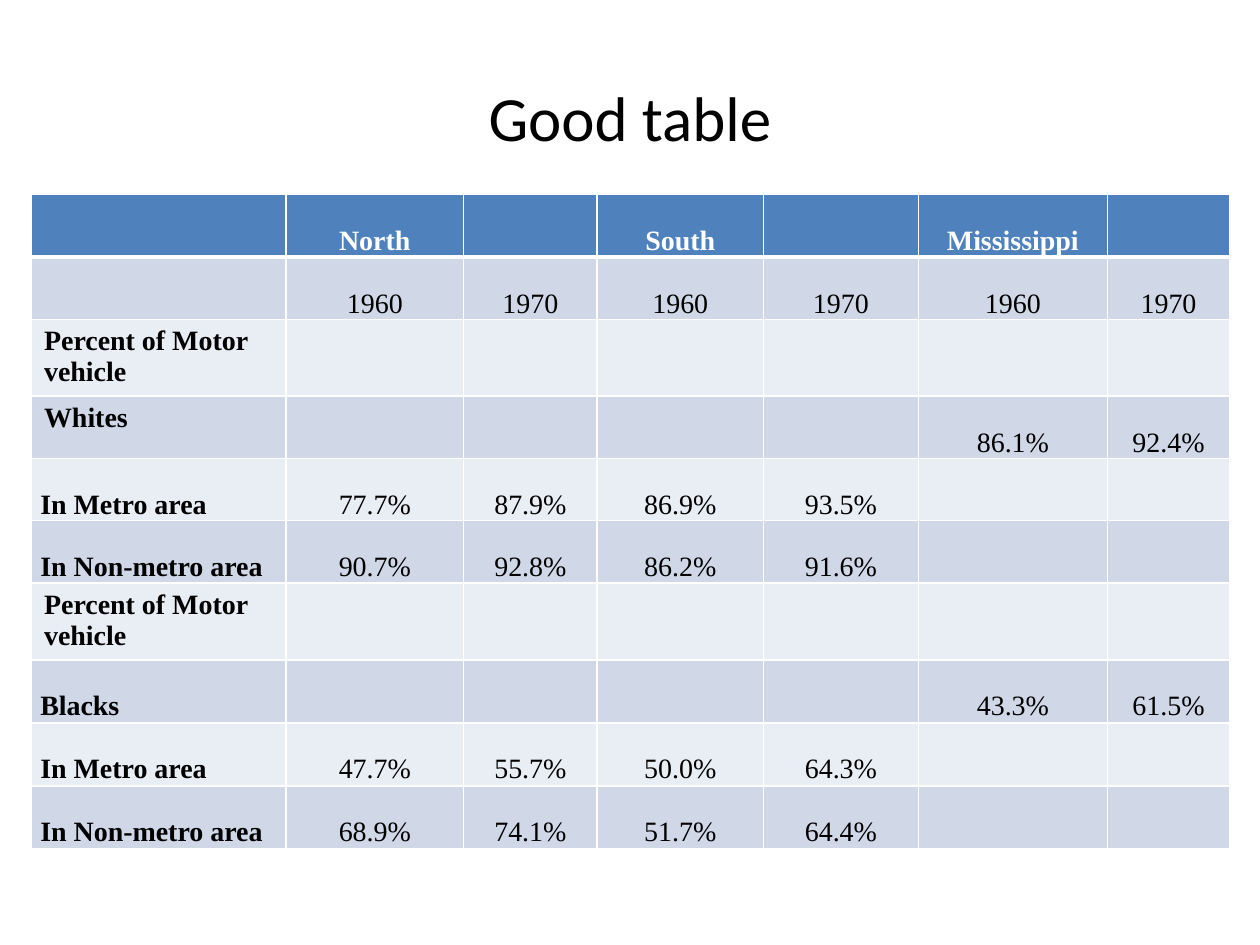
import dataclasses

import lxml.etree
import pptx
import pptx.dml.color
import pptx.enum.text
import pptx.oxml.ns
import pptx.table
import pptx.text.text
import pptx.util

Inches = pptx.util.Inches
Align = pptx.enum.text.PP_ALIGN
COLORS = {
    "header": "4F81BD",
    "band_dark": "D0D8E8",
    "band_light": "E9EDF4",
    "white": "FFFFFF",
    "black": "000000",
}


@dataclasses.dataclass
class Row:
    height: float
    label: str = ""
    north: tuple[str, str] = ("", "")
    south: tuple[str, str] = ("", "")
    mississippi: tuple[str, str] = ("", "")
    double_label: bool = True

    def texts(self) -> list[str]:
        return [self.label, *self.north, *self.south, *self.mississippi]


COLUMN_WIDTHS = [2.02, 1.41, 1.06, 1.32, 1.23, 1.5, 0.97]
YEARS = ("1960", "1970")
ROWS = [
    Row(0.5, "", ("North", ""), ("South", ""), ("Mississippi", "")),
    Row(0.43, "", YEARS, YEARS, YEARS),
    Row(0.61, "Percent of Motor vehicle", double_label=False),
    Row(0.43, "Whites", mississippi=("86.1%", "92.4%"), double_label=False),
    Row(0.43, "In Metro area", ("77.7%", "87.9%"), ("86.9%", "93.5%")),
    Row(0.43, "In Non-metro area", ("90.7%", "92.8%"), ("86.2%", "91.6%")),
    Row(0.61, "Percent of Motor vehicle", double_label=False),
    Row(0.5, "Blacks", mississippi=("43.3%", "61.5%")),
    Row(0.5, "In Metro area", ("47.7%", "55.7%"), ("50.0%", "64.3%")),
    Row(0.5, "In Non-metro area", ("68.9%", "74.1%"), ("51.7%", "64.4%")),
]


def rgb(name: str) -> pptx.dml.color.RGBColor:
    return pptx.dml.color.RGBColor.from_string(COLORS[name])


def write_text(tf: pptx.text.text.TextFrame, text: str, *, size: float,
               font: str = "Times New Roman", color: str = "black",
               bold: bool = False, align: Align = Align.LEFT,
               spacing: float = 1.0) -> None:
    p = tf.paragraphs[0]
    p.alignment = align
    p.line_spacing = spacing
    r = p.add_run()
    r.text = text
    r.font.size = pptx.util.Pt(size)
    r.font.name = font
    r.font.bold = bold
    r.font.color.rgb = rgb(color)


def set_borders(cell: pptx.table._Cell, bottom: float) -> None:
    qn = pptx.oxml.ns.qn
    tc_pr = cell._tc.get_or_add_tcPr()
    widths = {"a:lnL": 1, "a:lnR": 1, "a:lnT": 1, "a:lnB": bottom}
    for i, (tag, width) in enumerate(widths.items()):
        ln = lxml.etree.Element(qn(tag), w=str(pptx.util.Pt(width)))
        fill = lxml.etree.SubElement(ln, qn("a:solidFill"))
        lxml.etree.SubElement(fill, qn("a:srgbClr"), val=COLORS["white"])
        tc_pr.insert(i, ln)


def fill_row(table: pptx.table.Table, index: int, row: Row) -> None:
    header = index == 0
    band = "header" if header else "band_dark" if index % 2 else "band_light"
    table.rows[index].height = Inches(row.height)
    for col, text in enumerate(row.texts()):
        cell = table.cell(index, col)
        cell.fill.solid()
        cell.fill.fore_color.rgb = rgb(band)
        set_borders(cell, bottom=3 if header else 1)
        if not text:
            continue
        is_label = col == 0
        double = row.double_label or not is_label
        if double:
            cell.margin_left = cell.margin_right = Inches(0.07)
            cell.margin_top = cell.margin_bottom = 0
        write_text(cell.text_frame, text, size=16,
                   color="white" if header else "black",
                   bold=header or is_label,
                   align=Align.LEFT if is_label else Align.CENTER,
                   spacing=2.0 if double else 1.0)


def main() -> None:
    prs = pptx.Presentation()
    prs.slide_width, prs.slide_height = Inches(10), Inches(7.5)
    s = prs.slides.add_slide(prs.slide_layouts[5])

    title = s.shapes.title
    title.left, title.top = Inches(0.5), Inches(0.3)
    title.width, title.height = Inches(9), Inches(1.25)
    title.text_frame.vertical_anchor = pptx.enum.text.MSO_ANCHOR.MIDDLE
    write_text(title.text_frame, "Good table", size=36, font="Calibri",
               align=Align.CENTER)

    sp = s.shapes.add_table(len(ROWS), len(COLUMN_WIDTHS), Inches(0.25),
                            Inches(1.54), Inches(9.5), Inches(5.53))
    for column, width in zip(sp.table.columns, COLUMN_WIDTHS):
        column.width = Inches(width)
    for index, row in enumerate(ROWS):
        fill_row(sp.table, index, row)
    sp.height = Inches(5.53)

    prs.save("out.pptx")


if __name__ == "__main__":
    main()
